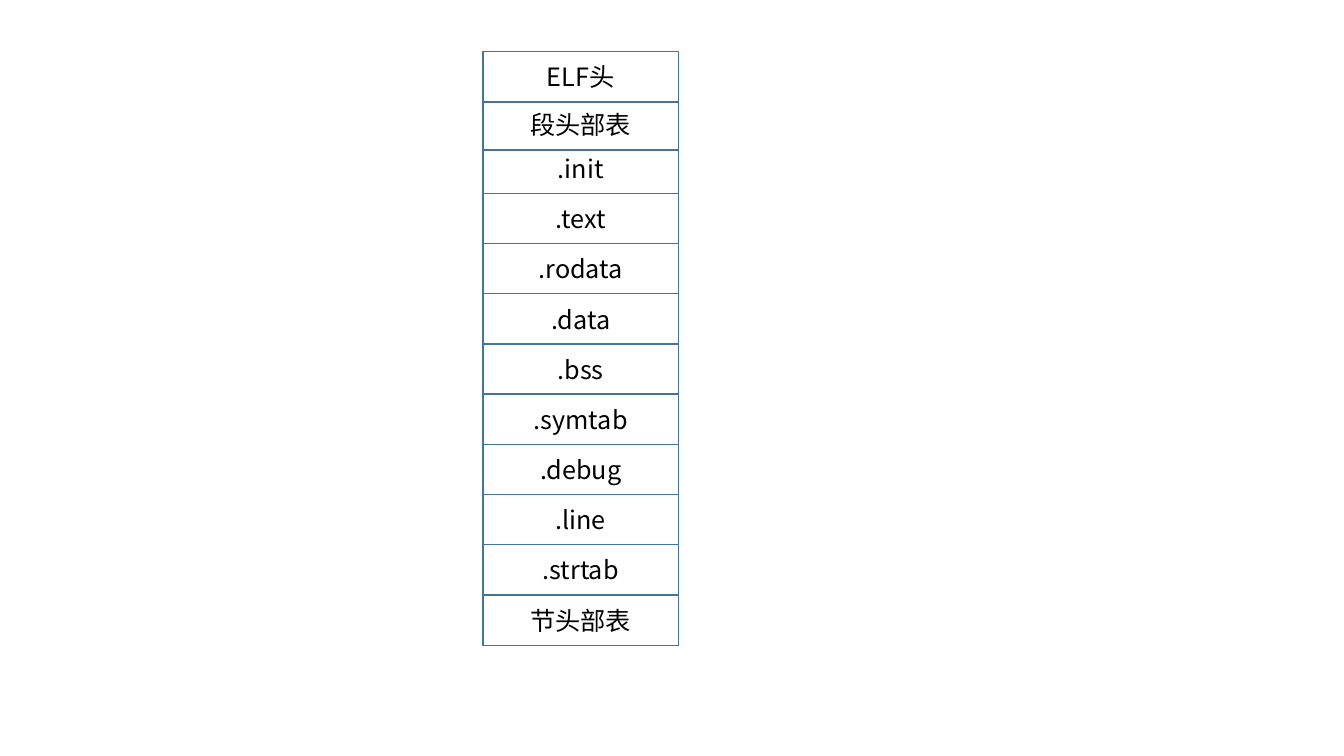
from dataclasses import dataclass

from lxml.etree import SubElement
from pptx import Presentation
from pptx.dml.color import RGBColor
from pptx.enum.shapes import MSO_SHAPE
from pptx.enum.text import MSO_ANCHOR, PP_ALIGN
from pptx.oxml.ns import qn
from pptx.util import Cm, Pt


@dataclass(frozen=True)
class Theme:
    fill: RGBColor = RGBColor.from_string("FFFFFF")
    edge: RGBColor = RGBColor.from_string("43739E")
    ink: RGBColor = RGBColor.from_string("000000")
    font: str = "Noto Sans CJK SC"
    size: int = 18
    line: float = 1


class Board:
    def __init__(self, slide, theme):
        self.slide = slide
        self.theme = theme

    def run(self, para, text):
        run = para.add_run()
        run.text = text
        font = run.font
        font.name = self.theme.font
        font.size = Pt(self.theme.size)
        font.color.rgb = self.theme.ink
        # Chinese glyphs take the East Asian typeface
        east = SubElement(font._element, qn("a:ea"))
        east.set("typeface", self.theme.font)

    def box(self, left, top, width, height, text):
        shape = self.slide.shapes.add_shape(
            MSO_SHAPE.RECTANGLE, Cm(left), Cm(top), Cm(width), Cm(height))
        shape.shadow.inherit = False
        shape.fill.solid()
        shape.fill.fore_color.rgb = self.theme.fill
        shape.line.color.rgb = self.theme.edge
        shape.line.width = Pt(self.theme.line)
        frame = shape.text_frame
        frame.word_wrap = True
        frame.vertical_anchor = MSO_ANCHOR.MIDDLE
        para = frame.paragraphs[0]
        para.alignment = PP_ALIGN.CENTER
        self.run(para, text)


deck = Presentation()
deck.slide_width, deck.slide_height = Cm(33.87), Cm(19.05)
board = Board(deck.slides.add_slide(deck.slide_layouts[6]), Theme())

# Column of the ELF file layout
LEFT, WIDTH, HEIGHT = 12.17, 4.93, 1.27

# Sections and section header table, evenly stacked
FIRST, LAST = 3.61, 14.99
parts = [".init", ".text", ".rodata", ".data", ".bss", ".symtab",
         ".debug", ".line", ".strtab", "节头部表"]
pitch = (LAST - FIRST) / (len(parts) - 1)
for i, name in enumerate(parts):
    board.box(LEFT, FIRST + i * pitch, WIDTH, HEIGHT, name)

# Headers overlap the box below, so they come last
for top, name in [(2.51, "段头部表"), (1.3, "ELF头")]:
    board.box(LEFT, top, WIDTH, HEIGHT, name)

deck.save("out.pptx")
